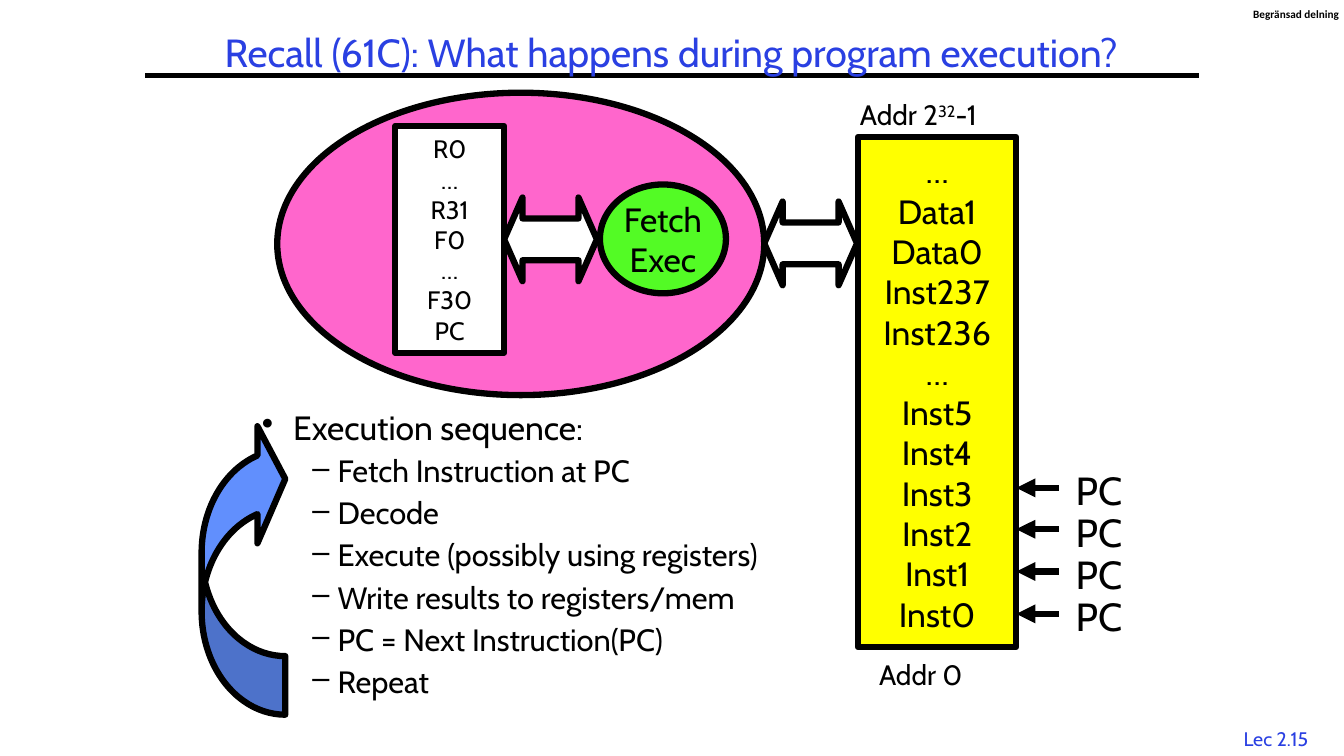
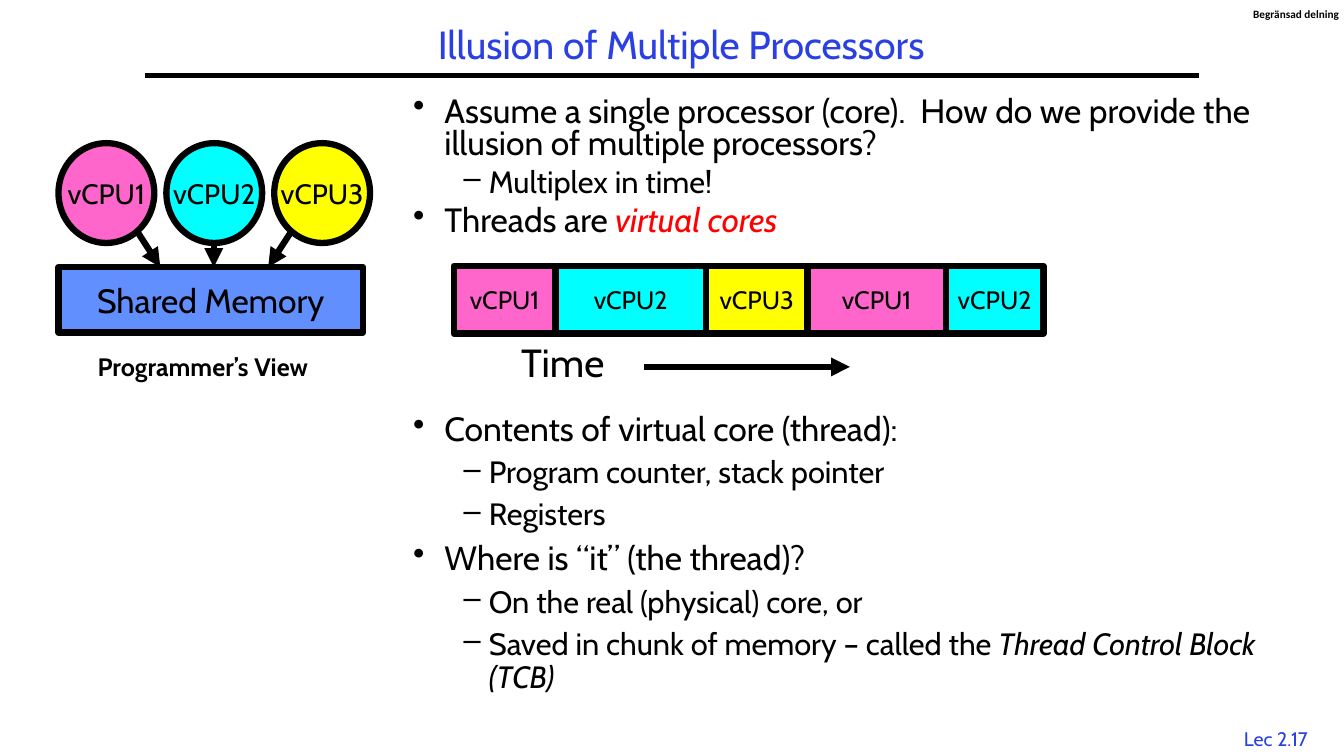
"""Build two slides on program execution and virtual processors."""
from itertools import accumulate

from lxml.etree import SubElement
from pptx import Presentation
from pptx.dml.color import RGBColor
from pptx.enum.shapes import MSO_CONNECTOR, MSO_SHAPE
from pptx.enum.text import MSO_ANCHOR, MSO_AUTO_SIZE, PP_ALIGN
from pptx.oxml.ns import qn
from pptx.util import Emu, Pt

LINE = MSO_CONNECTOR.STRAIGHT
RECT, OVAL = MSO_SHAPE.RECTANGLE, MSO_SHAPE.OVAL
SWAP, LOOP = MSO_SHAPE.LEFT_RIGHT_ARROW, MSO_SHAPE.CURVED_RIGHT_ARROW
MID, FIT = MSO_ANCHOR.MIDDLE, MSO_AUTO_SIZE.SHAPE_TO_FIT_TEXT
LEFT, CENTER = PP_ALIGN.LEFT, PP_ALIGN.CENTER

PX = 9144
FACE = "Cabin"
BLACK, WHITE, RED, INK = "000000", "FFFFFF", "FF0000", "2A40E2"
PINK, CYAN, YELLOW = "FF66CC", "00FFFF", "FFFF00"
GREEN, BLUE = "53FB25", "618FFD"
HUES = {"vCPU1": PINK, "vCPU2": CYAN, "vCPU3": YELLOW}

MARK = "Begränsad delning"
LEVELS = [
    {"char": "•", "left": 31, "hang": 31, "size": 24},
    {"char": "–", "left": 75, "hang": 25, "size": 22},
]
TIGHT = {"line_spacing": 0.8, "space_before": Pt(5.5)}
LOOSE = {"line_spacing": 0.9, "space_before": Pt(6.3)}

REGS = ["R0", "…", "R31", "F0", "…", "F30", "PC"]
CELLS = ["…", "Data1", "Data0", "Inst237", "Inst236", "…",
         "Inst5", "Inst4", "Inst3", "Inst2", "Inst1", "Inst0"]
ADDRS = [
    ((862, 647, 103, 44), ["Addr 0"]),
    ((843, 92, 148, 44), [[("Addr 2", {}), ("32", {"base": 30000}), ("-1", {})]]),
]
STEPS = [
    (0, "Execution sequence:"),
    (1, "Fetch Instruction at PC"),
    (1, "Decode"),
    (1, "Execute (possibly using registers)"),
    (1, "Write results to registers/mem"),
    (1, "PC = Next Instruction(PC)"),
    (1, "Repeat"),
]
IDEAS = [
    (0, "Assume a single processor (core).  How do we provide the illusion of multiple processors?"),
    (1, "Multiplex in time!"),
    (0, [("Threads are ", {}), ("virtual cores", {"italic": True, "ink": RED})]),
]
PARTS = [
    (0, "Contents of virtual core (thread):"),
    (1, "Program counter, stack pointer"),
    (1, "Registers"),
    (0, "Where is “it” (the thread)?"),
    (1, "On the real (physical) core, or"),
    (1, [("Saved in chunk of memory – called the ", {}),
         ("Thread Control Block (TCB)", {"italic": True})]),
]
TURNS = [("vCPU1", 101), ("vCPU2", 149), ("vCPU3", 101),
         ("vCPU1", 137), ("vCPU2", 97)]
LINKS = [(135, 228, 159, 265), (290, 228, 266, 265), (212, 241, 212, 265)]


def px(*nums):
    """Turn pixel lengths into EMU."""
    return [Emu(num * PX) for num in nums]


def rgb(code):
    """Turn a hex string into a colour."""
    return RGBColor.from_string(code)


def assign(item, values):
    """Set each named attribute of an item."""
    for name, value in values.items():
        setattr(item, name, value)


def fill_para(para, text, size, **extra):
    """Add a string or a list of styled runs to a paragraph."""
    runs = [(text, {})] if isinstance(text, str) else text
    for words, own in runs:
        run = para.add_run()
        run.text = words
        form = {"name": FACE, "ink": BLACK, **extra, **own}
        run.font.color.rgb = rgb(form.pop("ink"))
        base = form.pop("base", 0)
        if base:
            run.font._element.set("baseline", str(base))
        assign(run.font, {"size": Pt(size), **form})


def lines(frame):
    """Yield the first paragraph of a frame, then new ones."""
    yield frame.paragraphs[0]
    while True:
        yield frame.add_paragraph()


def write(frame, texts, size, align=LEFT, spacing=None, **extra):
    """Write plain paragraphs in one style."""
    for text, para in zip(texts, lines(frame)):
        assign(para, {"alignment": align, "line_spacing": spacing})
        fill_para(para, text, size, **extra)


def label(slide, at, texts, size, **extra):
    """Add a text box that fits its unwrapped text."""
    frame = slide.shapes.add_textbox(*px(*at)).text_frame
    assign(frame, {"word_wrap": False, "auto_size": FIT})
    write(frame, texts, size, **extra)
    return frame


def bullets(slide, at, items, gaps):
    """Add a text box with a two-level bulleted list."""
    frame = slide.shapes.add_textbox(*px(*at)).text_frame
    frame.word_wrap = True
    for num, ((level, text), para) in enumerate(zip(items, lines(frame))):
        rule = LEVELS[level]
        props = para._p.get_or_add_pPr()
        props.set("marL", str(rule["left"] * PX))
        props.set("indent", str(-rule["hang"] * PX))
        SubElement(props, qn("a:buChar"), char=rule["char"])
        assign(para, {"level": level, **gaps})
        if num == 0:
            para.space_before = Pt(0)
        fill_para(para, text, rule["size"])


def block(slide, kind, at, fill, texts=(), size=18, adj=()):
    """Add a filled shape with a heavy outline and centred text."""
    shape = slide.shapes.add_shape(kind, *px(*at))
    shape.shadow.inherit = False
    shape.fill.solid()
    shape.fill.fore_color.rgb = rgb(fill)
    shape.line.color.rgb = rgb(BLACK)
    shape.line.width = Pt(4.5)
    for num, value in enumerate(adj):
        shape.adjustments[num] = value
    assign(shape.text_frame, {"word_wrap": False, "vertical_anchor": MID})
    write(shape.text_frame, texts, size, CENTER)
    return shape


def rule(slide, ends, width=4.5, head=True):
    """Add a straight line, with an arrowhead if asked."""
    line = slide.shapes.add_connector(LINE, *px(*ends))
    line.line.color.rgb = rgb(BLACK)
    line.line.width = Pt(width)
    props = line._element.spPr
    if head:
        SubElement(props.find(qn("a:ln")), qn("a:tailEnd"), type="triangle")
    SubElement(props, qn("a:effectLst"))


def start(deck, title, at, page):
    """Add a slide with its title, rule, mark and page label."""
    slide = deck.slides.add_slide(deck.slide_layouts[6])
    label(slide, (1217, 716, 97, 33), [page], 14, align=CENTER, ink=INK)
    rule(slide, (144, 75, 1189, 75), 3, False)
    frame = label(slide, (1243, 7, 86, 13), [MARK], 8, name="Calibri", bold=True)
    sides = ("margin_left", "margin_top", "margin_right", "margin_bottom")
    assign(frame, dict.fromkeys(sides, 0))
    frame = slide.shapes.add_textbox(*px(*at)).text_frame
    assign(frame, {"word_wrap": True, "vertical_anchor": MID})
    write(frame, [title], 28, CENTER, 0.9, ink=INK)
    return slide


def run_slide(deck):
    """Draw the processor, its memory and the execution loop."""
    slide = start(deck, "Recall (61C): What happens during program execution?",
                  (167, 25, 997, 58), "Lec 2.15")
    block(slide, OVAL, (275, 92, 483, 300), PINK)
    block(slide, OVAL, (595, 183, 125, 108), GREEN, ["Fetch", "Exec"], 24)
    for left, top in [(500, 196), (758, 200)]:
        block(slide, SWAP, (left, top, 92, 83), WHITE, adj=(0.5, 0.22))
    block(slide, RECT, (392, 125, 108, 225), WHITE, REGS)
    block(slide, RECT, (851, 136, 157, 506), YELLOW, CELLS, 24)
    for at, texts in ADDRS:
        label(slide, at, texts, 20)
    bullets(slide, (250, 403, 625, 325), STEPS, LOOSE)
    for num in range(4):
        top = 458 + num * 125 // 3
        label(slide, (1057, top, 75, 57), ["PC"], 28)
        rule(slide, (1050, top + 26, 1008, top + 26))
    loop = block(slide, LOOP, (200, 417, 83, 292), BLUE, adj=(0.7, 1.4, 0.333))
    loop._element.spPr.find(qn("a:xfrm")).set("flipV", "1")


def core_slide(deck):
    """Draw the virtual cores, the shared memory and the time line."""
    slide = start(deck, "Illusion of Multiple Processors",
                  (192, 17, 967, 58), "Lec 2.17")
    bullets(slide, (400, 92, 892, 160), IDEAS, TIGHT)
    bullets(slide, (400, 404, 892, 310), PARTS, LOOSE)
    lefts = accumulate((wide for _, wide in TURNS), initial=450)
    for left, (name, wide) in zip(lefts, TURNS):
        block(slide, RECT, (left, 264, wide, 67), HUES[name], [name])
    label(slide, (507, 331, 133, 57), ["Time"], 28)
    rule(slide, (639, 364, 843, 364))
    for num, (name, hue) in enumerate(HUES.items()):
        block(slide, OVAL, (58 + 107 * num, 142, 95, 99), hue, [name], 20)
    block(slide, RECT, (58, 265, 302, 65), BLUE, ["Shared Memory"], 24)
    for ends in LINKS:
        rule(slide, ends)
    label(slide, (87, 344, 255, 40), ["Programmer’s View"], 18, bold=True)


def main():
    """Build and save the deck."""
    deck = Presentation()
    deck.slide_width, deck.slide_height = px(1333, 750)
    run_slide(deck)
    core_slide(deck)
    deck.save("out.pptx")


if __name__ == "__main__":
    main()
